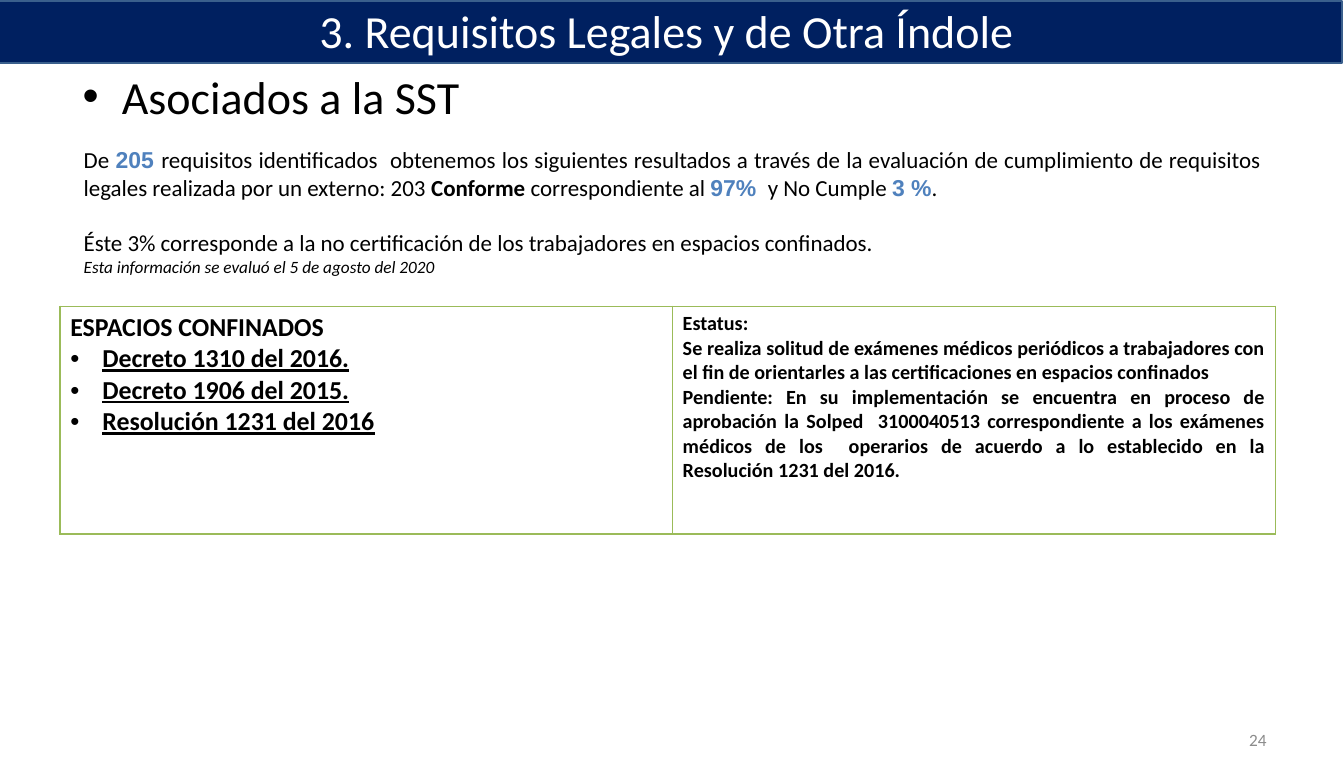
from dataclasses import dataclass
from typing import Optional

from lxml import etree
from pptx import Presentation
from pptx import util as u
from pptx.dml.color import RGBColor
from pptx.enum import shapes, text
from pptx.oxml import ns

COLORS = {
    "ink": "000000",
    "white": "FFFFFF",
    "navy": "002060",
    "banner_edge": "3A5F8C",
    "figure": "4F81BD",
    "border": "9BBB59",
    "number": "8C8C8C",
}
SLIDE_WIDTH, SLIDE_HEIGHT = u.Inches(12.99), u.Inches(7.5)
LEFT, CENTER, RIGHT, JUSTIFY = (
    text.PP_ALIGN.LEFT, text.PP_ALIGN.CENTER, text.PP_ALIGN.RIGHT, text.PP_ALIGN.JUSTIFY)


@dataclass
class Area:
    """A rectangle in percent of the slide's width and height."""
    left: float
    top: float
    width: float
    height: float

    def lengths(self) -> tuple:
        return (across(self.left), down(self.top), across(self.width), down(self.height))


@dataclass
class Piece:
    words: str
    bold: bool = False
    italic: bool = False
    underline: bool = False
    color: str = "ink"
    font: str = "Calibri"


@dataclass
class Line:
    pieces: list[Piece]
    size: float
    align: text.PP_ALIGN = LEFT
    bullet_indent: Optional[float] = None
    space_before: float = 0


def across(percent: float) -> int:
    return round(SLIDE_WIDTH * percent / 100)


def down(percent: float) -> int:
    return round(SLIDE_HEIGHT * percent / 100)


def rgb(name: str) -> RGBColor:
    return RGBColor.from_string(COLORS[name])


def figure(words: str) -> Piece:
    return Piece(words, bold=True, color="figure", font="Arial")


def add_bullet(paragraph, indent: float) -> None:
    properties = paragraph._p.get_or_add_pPr()
    properties.set("marL", str(u.Inches(indent)))
    properties.set("indent", str(-u.Inches(indent)))
    font = etree.SubElement(properties, ns.qn("a:buFont"))
    font.set("typeface", "Arial")
    etree.SubElement(properties, ns.qn("a:buChar")).set("char", "•")


def write(frame, lines: list[Line]) -> None:
    for index, line in enumerate(lines):
        paragraph = frame.add_paragraph() if index else frame.paragraphs[0]
        if line.bullet_indent:
            add_bullet(paragraph, line.bullet_indent)
        paragraph.alignment = line.align
        paragraph.space_before = u.Pt(line.space_before)
        for piece in line.pieces:
            run = paragraph.add_run()
            run.text = piece.words
            run.font.size = u.Pt(line.size)
            run.font.name = piece.font
            run.font.bold = piece.bold
            run.font.italic = piece.italic
            run.font.underline = piece.underline
            run.font.color.rgb = rgb(piece.color)


def add_text(slide, area: Area, lines: list[Line], anchor=text.MSO_ANCHOR.TOP,
             auto_size=text.MSO_AUTO_SIZE.NONE) -> None:
    frame = slide.shapes.add_textbox(*area.lengths()).text_frame
    frame.word_wrap = True
    frame.auto_size = auto_size
    frame.vertical_anchor = anchor
    write(frame, lines)


def add_title(slide, banner_area: Area, title_area: Area, line: Line) -> None:
    banner = slide.shapes.add_shape(shapes.MSO_SHAPE.RECTANGLE, *banner_area.lengths())
    banner.shadow.inherit = False
    banner.fill.solid()
    banner.fill.fore_color.rgb = rgb("navy")
    banner.line.color.rgb = rgb("banner_edge")
    banner.line.width = u.Pt(2)
    title = slide.shapes.title
    title.element.addprevious(banner.element)
    title.left, title.top, title.width, title.height = title_area.lengths()
    title.text_frame.word_wrap = True
    title.text_frame.auto_size = text.MSO_AUTO_SIZE.NONE
    title.text_frame.vertical_anchor = text.MSO_ANCHOR.MIDDLE
    write(title.text_frame, [line])


def add_borders(cell) -> None:
    properties = cell._tc.get_or_add_tcPr()
    for side, width in (("L", 1), ("R", 1), ("T", 1), ("B", 2)):
        border = etree.SubElement(properties, ns.qn(f"a:ln{side}"))
        border.set("w", str(u.Pt(width)))
        fill = etree.SubElement(border, ns.qn("a:solidFill"))
        etree.SubElement(fill, ns.qn("a:srgbClr")).set("val", COLORS["border"])


def add_status_table(slide, area: Area, widths: list[float], cells: list[list[Line]]) -> None:
    table = slide.shapes.add_table(1, len(cells), *area.lengths()).table
    table.first_row = table.horz_banding = False
    for index, (width, lines) in enumerate(zip(widths, cells)):
        table.columns[index].width = across(width)
        cell = table.cell(0, index)
        add_borders(cell)
        cell.fill.background()
        write(cell.text_frame, lines)


# Wording
FINDINGS = [
    Line([
        Piece("De "), figure("205 "),
        Piece("requisitos identificados  obtenemos los siguientes resultados a través de la "
              "evaluación de cumplimiento de requisitos legales realizada por un externo: 203 "),
        Piece("Conforme ", bold=True), Piece("correspondiente al "), figure("97% "),
        Piece(" y No Cumple "), figure("3 %"), Piece("."),
    ], 16, JUSTIFY),
    Line([Piece("Éste 3% corresponde a la no certificación de los trabajadores en espacios "
                "confinados.")], 16, JUSTIFY, space_before=19.5),
    Line([Piece("Esta información se evaluó el 5 de agosto del 2020", italic=True)], 12, JUSTIFY),
]
RULES = ["Decreto 1310 del 2016.", "Decreto 1906 del 2015.", "Resolución 1231 del 2016"]
STATUS = [
    "Estatus:",
    "Se realiza solitud de exámenes médicos periódicos a trabajadores con el fin de orientarles "
    "a las certificaciones en espacios confinados",
    "Pendiente: En su implementación se encuentra en proceso de aprobación la Solped  3100040513 "
    "correspondiente a los exámenes médicos de los  operarios de acuerdo a lo establecido en la "
    "Resolución 1231 del 2016.",
]


def main() -> None:
    presentation = Presentation()
    presentation.slide_width, presentation.slide_height = SLIDE_WIDTH, SLIDE_HEIGHT
    slide = presentation.slides.add_slide(presentation.slide_layouts[5])

    # Title banner and subtitle
    add_title(slide, Area(-0.15, 0.13, 100, 8), Area(5.08, -0.13, 89.84, 8.13),
              Line([Piece("3. Requisitos Legales y de Otra Índole ", color="white")], 32, CENTER))
    add_text(slide, Area(5.39, 8.13, 60.74, 8.8),
             [Line([Piece("Asociados a la SST")], 32, bullet_indent=0.38)])

    # Findings
    add_text(slide, Area(5.47, 18.13, 89.15, 18.4), FINDINGS,
             auto_size=text.MSO_AUTO_SIZE.SHAPE_TO_FIT_TEXT)

    # Rules and their status
    rules = [Line([Piece("ESPACIOS CONFINADOS", bold=True)], 18)]
    rules += [Line([Piece(rule, bold=True, underline=True)], 18, JUSTIFY, 0.31) for rule in RULES]
    status = [Line([Piece(words, bold=True)], 14, JUSTIFY) for words in STATUS]
    add_status_table(slide, Area(4.46, 39.47, 90.45, 29.33), [45.57, 44.88], [rules, status])

    # Slide number
    add_text(slide, Area(71.67, 92.67, 23.33, 5.33),
             [Line([Piece("24", color="number")], 12, RIGHT)], text.MSO_ANCHOR.MIDDLE)

    presentation.save("out.pptx")


if __name__ == "__main__":
    main()
